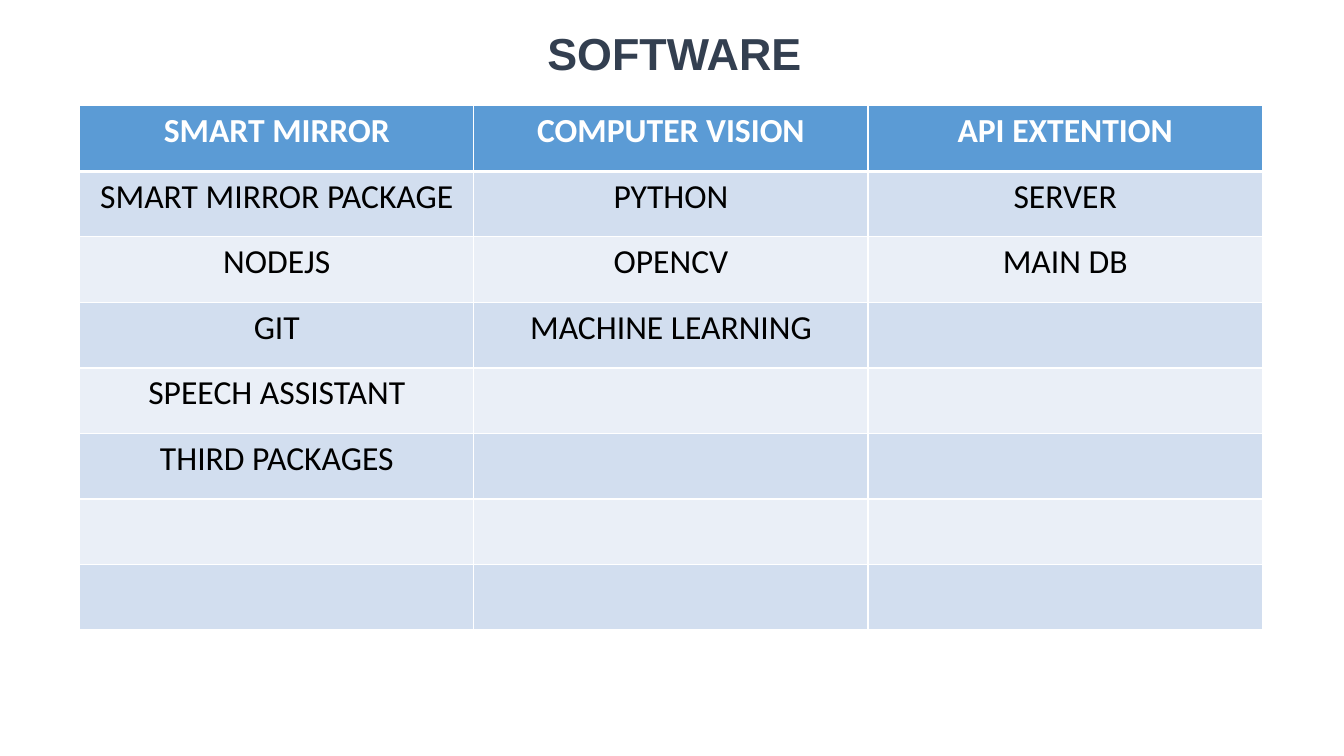
import pptx
import pptx.util
import pptx.dml.color
import pptx.enum.text
import lxml.etree
from pptx.util import Inches, Pt

TITLE = "SOFTWARE"
COLUMNS = {
    "SMART MIRROR": ["SMART MIRROR PACKAGE", "NODEJS", "GIT", "SPEECH ASSISTANT", "THIRD PACKAGES"],
    "COMPUTER VISION": ["PYTHON", "OPENCV", "MACHINE LEARNING"],
    "API EXTENTION": ["SERVER", "MAIN DB"],
}
ROW_COUNT = 8
TABLE_LEFT, TABLE_TOP = 0.79, 1.05
COLUMN_WIDTH, ROW_HEIGHT = 3.91, 0.65
HEADER_FILL = "5B9BD5"
BAND_FILLS = ["EAEFF7", "D2DEEF"]
WHITE, BLACK, TITLE_COLOR = "FFFFFF", "000000", "333F50"
CENTER = pptx.enum.text.PP_ALIGN.CENTER


def color(value):
    return pptx.dml.color.RGBColor.from_string(value)


def format_paragraph(paragraph, font_name, size, text_color, bold):
    paragraph.alignment = CENTER
    paragraph.font.name = font_name
    paragraph.font.size = Pt(size)
    paragraph.font.bold = bold
    paragraph.font.color.rgb = color(text_color)


def add_borders(cell, widths):
    namespace = "{http://schemas.openxmlformats.org/drawingml/2006/main}"
    properties = cell._tc.get_or_add_tcPr()
    for side, width in widths.items():
        line = lxml.etree.SubElement(properties, namespace + "ln" + side, w=str(Pt(width)))
        fill = lxml.etree.SubElement(line, namespace + "solidFill")
        lxml.etree.SubElement(fill, namespace + "srgbClr", val=WHITE)


def add_title(slide):
    title = slide.shapes.title
    title.left, title.top = Inches(4.04), Inches(0.2)
    title.width, title.height = Inches(5.3), Inches(0.64)
    title.text_frame.text = TITLE
    title.text_frame.vertical_anchor = pptx.enum.text.MSO_ANCHOR.TOP
    format_paragraph(title.text_frame.paragraphs[0], "Arial", 32, TITLE_COLOR, True)


def add_software_table(slide):
    table = slide.shapes.add_table(
        ROW_COUNT, len(COLUMNS), Inches(TABLE_LEFT), Inches(TABLE_TOP),
        Inches(COLUMN_WIDTH * len(COLUMNS)), Inches(ROW_HEIGHT * ROW_COUNT)).table
    for column_index, (heading, entries) in enumerate(COLUMNS.items()):
        texts = [heading] + entries
        for row_index in range(ROW_COUNT):
            is_header = row_index == 0
            cell = table.cell(row_index, column_index)
            cell.text = texts[row_index] if row_index < len(texts) else ""
            format_paragraph(cell.text_frame.paragraphs[0], "Calibri", 24,
                             WHITE if is_header else BLACK, is_header)
            add_borders(cell, {"L": 1, "R": 1, "T": 3 if row_index == 1 else 1,
                               "B": 3 if is_header else 1})
            cell.fill.solid()
            cell.fill.fore_color.rgb = color(HEADER_FILL if is_header else BAND_FILLS[row_index % 2])


def main():
    presentation = pptx.Presentation()
    presentation.slide_width, presentation.slide_height = Inches(13.33), Inches(7.5)
    slide = presentation.slides.add_slide(presentation.slide_layouts[5])
    add_software_table(slide)
    add_title(slide)
    presentation.save("out.pptx")


if __name__ == "__main__":
    main()
